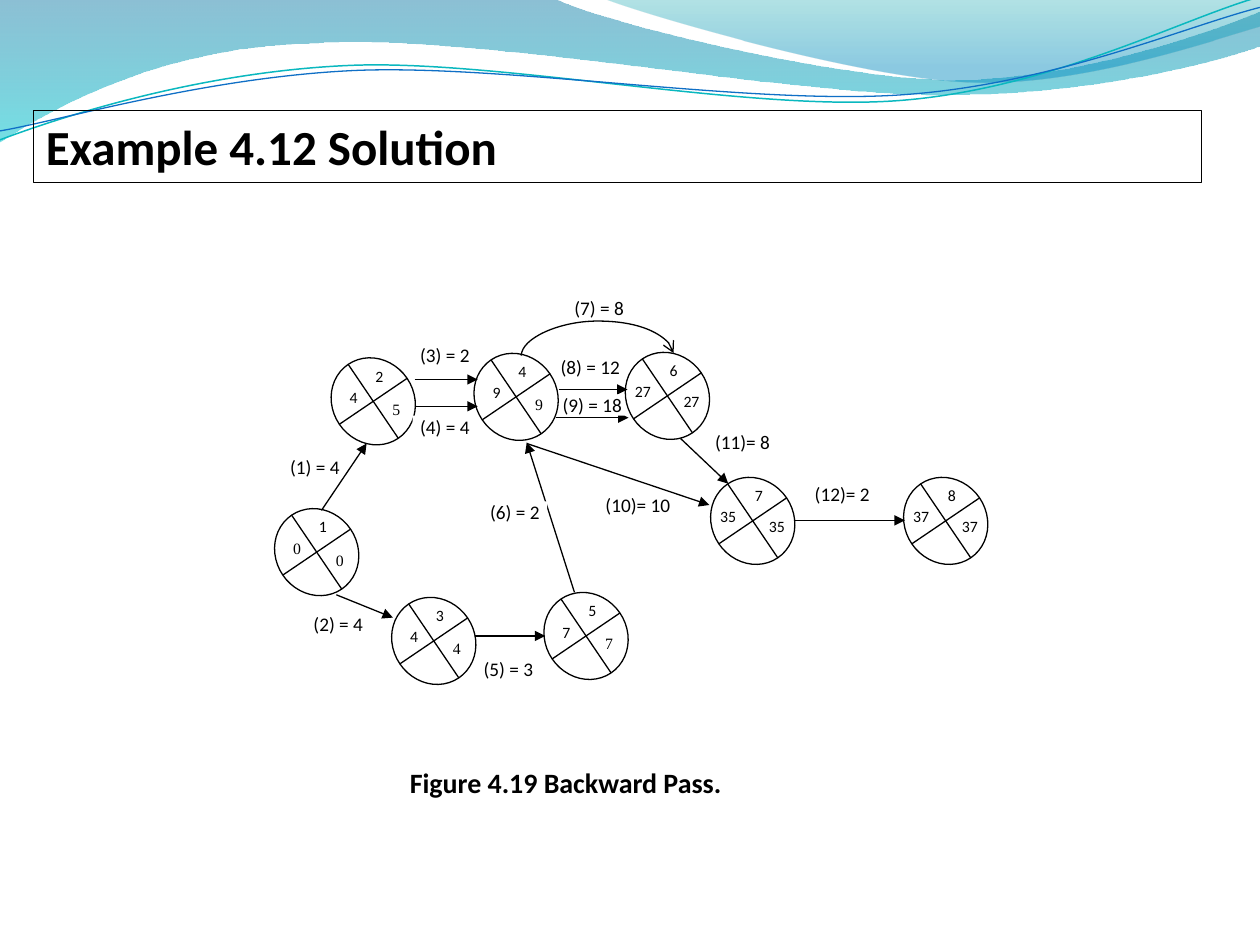
import pptx
import pptx.dml.color
import pptx.enum.shapes
import pptx.enum.text
import pptx.oxml.ns
import pptx.util

Cm, Pt = pptx.util.Cm, pptx.util.Pt
RGBColor = pptx.dml.color.RGBColor
MSO_SHAPE = pptx.enum.shapes.MSO_SHAPE
MSO_CONNECTOR = pptx.enum.shapes.MSO_CONNECTOR
MSO_ANCHOR = pptx.enum.text.MSO_ANCHOR
PP_ALIGN = pptx.enum.text.PP_ALIGN
qn = pptx.oxml.ns.qn

BLACK = RGBColor(0x00, 0x00, 0x00)
WHITE = RGBColor(0xFF, 0xFF, 0xFF)
DEEP_BLUE = RGBColor(0x00, 0x74, 0xA1)
TURQUOISE = RGBColor(0x00, 0xC6, 0xCF)
TEAL = RGBColor(0x00, 0xA1, 0xA9)
SKY_BLUE = RGBColor(0x00, 0x8B, 0xBF)
LINE_TEAL = RGBColor(0x0A, 0xB8, 0xBF)
LINE_BLUE = RGBColor(0x0F, 0x6F, 0xC6)
SANS, SERIF = "Calibri", "Times New Roman"


def write_text(shape, text, size, font=SANS, bold=False,
               align=PP_ALIGN.LEFT, space_after=0):
    shape.text_frame.word_wrap = True
    paragraph = shape.text_frame.paragraphs[0]
    paragraph.alignment = align
    paragraph.space_after = Pt(space_after)
    run = paragraph.add_run()
    run.text = text
    run.font.name = font
    run.font.size = Pt(size)
    run.font.bold = bold
    run.font.color.rgb = BLACK


def add_label(text, left, top, width=1.3):
    """Add an activity label on a white plate."""
    plate = slide.shapes.add_shape(MSO_SHAPE.RECTANGLE, Cm(left), Cm(top), Cm(width), Cm(0.43))
    plate.shadow.inherit = False
    plate.fill.solid()
    plate.fill.fore_color.rgb = WHITE
    plate.line.fill.background()
    frame = plate.text_frame
    frame.margin_left = frame.margin_right = frame.margin_top = frame.margin_bottom = 0
    frame.vertical_anchor = MSO_ANCHOR.MIDDLE
    write_text(plate, text, 11, align=PP_ALIGN.CENTER, space_after=10)


presentation = pptx.Presentation()
presentation.slide_width, presentation.slide_height = Cm(25.4), Cm(19.05)
slide = presentation.slides.add_slide(presentation.slide_layouts[5])

# Waves: start, then line ends (one point) or Bezier curves (three points).
# Bands have gradient stops (position, colour, opacity); strokes have colour and width.
bands = [
    ((0, 0), [
        [(11.18, -0.03)],
        [(12.09, 0.43), (16.87, 1.6), (19.25, 1.6)],
        [(21.67, 1.6), (24.33, 0.66), (25.4, 0.23)],
        [(25.43, 0.91)],
        [(24.97, 1.12), (22.1, 1.93), (18.95, 1.91)],
        [(15.8, 1.91), (9.7, 0.71), (6.53, 0.86)],
        [(3.28, 0.91), (1.17, 2.11), (-0.03, 2.87)],
    ], [(0, DEEP_BLUE, 45), (1, TURQUOISE, 55)]),
    ((12.17, -0.03), [
        [(12.93, 0.28), (17.32, 1.57), (19.53, 1.65)],
        [(21.74, 1.75), (24.41, 0.81), (25.4, 0.53)],
        [(25.4, 0)],
    ], [(0, TEAL, 30), (0.8, SKY_BLUE, 45)]),
]
strokes = [
    ((0, 2.82), [
        [(1.22, 2.36), (4.01, 1.45), (7.04, 1.32)],
        [(10.03, 1.19), (15.06, 2.26), (18.11, 2.03)],
        [(21.16, 1.8), (23.83, 0.38), (25.35, -0.05)],
    ], (LINE_TEAL, 0.85)),
    ((0, 2.64), [
        [(1.19, 2.44), (4.17, 1.55), (7.19, 1.42)],
        [(10.24, 1.3), (15.16, 2.13), (18.21, 1.91)],
        [(21.23, 1.7), (23.9, 0.53), (25.4, 0.15)],
    ], (LINE_BLUE, 0.75)),
]
for (start_x, start_y), segments, paint in bands + strokes:
    is_band = isinstance(paint, list)
    builder = slide.shapes.build_freeform(Cm(start_x), Cm(start_y))
    builder.add_line_segments([(Cm(x), Cm(y)) for x, y in (segment[-1] for segment in segments)],
                              close=is_band)
    wave = builder.convert_to_shape()
    wave.shadow.inherit = False
    for side, segment in zip(list(wave.element.iter(qn("a:lnTo"))), segments):
        if len(segment) == 3:
            curve = side.makeelement(qn("a:cubicBezTo"))
            for x, y in segment:
                curve.append(curve.makeelement(qn("a:pt"), {
                    "x": str(Cm(x) - wave.left), "y": str(Cm(y) - wave.top)}))
            side.getparent().replace(side, curve)
    if is_band:
        wave.line.fill.background()
        wave.fill.gradient()
        wave.fill.gradient_angle = 270
        for stop, (position, color, _) in zip(wave.fill.gradient_stops, paint):
            stop.position = position
            stop.color.rgb = color
        for element, (_, _, opacity) in zip(wave.element.iter(qn("a:srgbClr")), paint):
            element.append(element.makeelement(qn("a:alpha"), {"val": str(opacity * 1000)}))
    else:
        wave.fill.background()
        wave.line.color.rgb, wave.line.width = paint[0], Pt(paint[1])

# Title, brought in front of the waves
title = slide.shapes.title
title.left, title.top, title.width, title.height = Cm(0.67), Cm(2.23), Cm(23.55), Cm(1.45)
title.line.color.rgb = BLACK
title.line.width = Pt(0.75)
title.text_frame.vertical_anchor = MSO_ANCHOR.TOP
write_text(title, "Example 4.12 Solution", 28, bold=True)
title.element.getparent().append(title.element)

# Event nodes: number, left, top, earliest time and its font, latest time
nodes = [
    ("1", 5.56, 10.23, "0", SERIF, "0"),
    ("3", 7.92, 12.02, "4", SANS, "4"),
    ("5", 10.99, 11.92, "7", SANS, "7"),
    ("7", 14.35, 9.6, "35", SANS, "35"),
    ("8", 18.24, 9.6, "37", SANS, "37"),
    ("2", 6.7, 7.19, "4", SANS, "5"),
    ("6", 12.63, 7.08, "27", SANS, "27"),
    ("4", 9.58, 7.1, "9", SANS, "9"),
]
for number, left, top, earliest, earliest_font, latest in nodes:
    circle = slide.shapes.add_shape(MSO_SHAPE.FLOWCHART_OR, Cm(left), Cm(top), Cm(1.65), Cm(1.8))
    circle.rotation = 325.9
    circle.shadow.inherit = False
    circle.fill.solid()
    circle.fill.fore_color.rgb = WHITE
    circle.line.color.rgb = BLACK
    circle.line.width = Pt(0.75)
    two_digits = len(latest) == 2
    entries = [
        (number, 0.62, 0.07, SANS),
        (earliest, -0.08 if two_digits else 0.1, 0.5, earliest_font),
        (latest, 0.9 if two_digits else 0.96, 0.69 if two_digits else 0.74,
         SANS if two_digits else SERIF),
    ]
    for text, dx, dy, font in entries:
        box = slide.shapes.add_textbox(Cm(left + dx), Cm(top + dy),
                                       Cm(0.89 if len(text) == 2 else 0.61), Cm(0.58))
        write_text(box, text, 9, font, space_after=10)

# Labels that lie behind the arrows
for label in [
    ("(10)= 10", 12.01, 9.96, 1.7), ("(5) = 3", 9.6, 13.26), ("(2) = 4", 6.17, 12.37),
    ("(12)= 2", 16.33, 9.75), ("(11)= 8", 14.32, 8.69), ("(1) = 4", 5.7, 9.19),
    ("(3) = 2", 8.32, 6.94), ("(4) = 4", 8.32, 8.38), ("(8) = 12", 11.25, 7.19),
]:
    add_label(*label)

# Activity arrows; the last one arches over from node 4 to node 6
arrows = [
    (6.48, 10.29, 7.39, 8.94), (6.78, 11.99, 7.92, 12.45), (8.36, 7.65, 9.63, 7.65),
    (8.36, 8.19, 9.63, 8.19), (9.58, 12.82, 10.99, 12.82), (11.58, 11.94, 10.62, 8.92),
    (11.27, 7.85, 12.65, 7.85), (11.2, 8.42, 12.67, 8.42), (10.62, 8.94, 14.3, 10.18),
    (13.72, 8.84, 14.68, 9.75), (16.0, 10.49, 18.24, 10.49),
]
arch = (12.07, 8.68, 12.02, 5.61)
for ends in arrows + [arch]:
    is_arch = ends is arch
    kind = MSO_CONNECTOR.CURVE if is_arch else MSO_CONNECTOR.STRAIGHT
    arrow = slide.shapes.add_connector(kind, *[Cm(value) for value in ends])
    arrow.line.color.rgb = BLACK
    arrow.line.width = Pt(0.75)
    properties = arrow.element.spPr
    line = properties.find(qn("a:ln"))
    line.append(line.makeelement(qn("a:tailEnd"), {"type": "arrow" if is_arch else "triangle"}))
    properties.append(properties.makeelement(qn("a:effectLst")))
    if is_arch:
        properties.find(qn("a:xfrm")).set("rot", "5400000")
        guides = properties.find(qn("a:prstGeom")).find(qn("a:avLst"))
        guides.append(guides.makeelement(qn("a:gd"), {"name": "adj1", "fmla": "val 1393200"}))

# Labels that cover part of an arrow
for label in [("(9) = 18", 11.29, 7.95), ("(6) = 2", 9.73, 10.11), ("(7) = 8", 11.43, 6)]:
    add_label(*label)

caption = slide.shapes.add_textbox(Cm(5.18), Cm(15.31), Cm(12.45), Cm(0.94))
write_text(caption, "Figure 4.19 Backward Pass.", 16, bold=True, align=PP_ALIGN.CENTER)

presentation.save("out.pptx")
